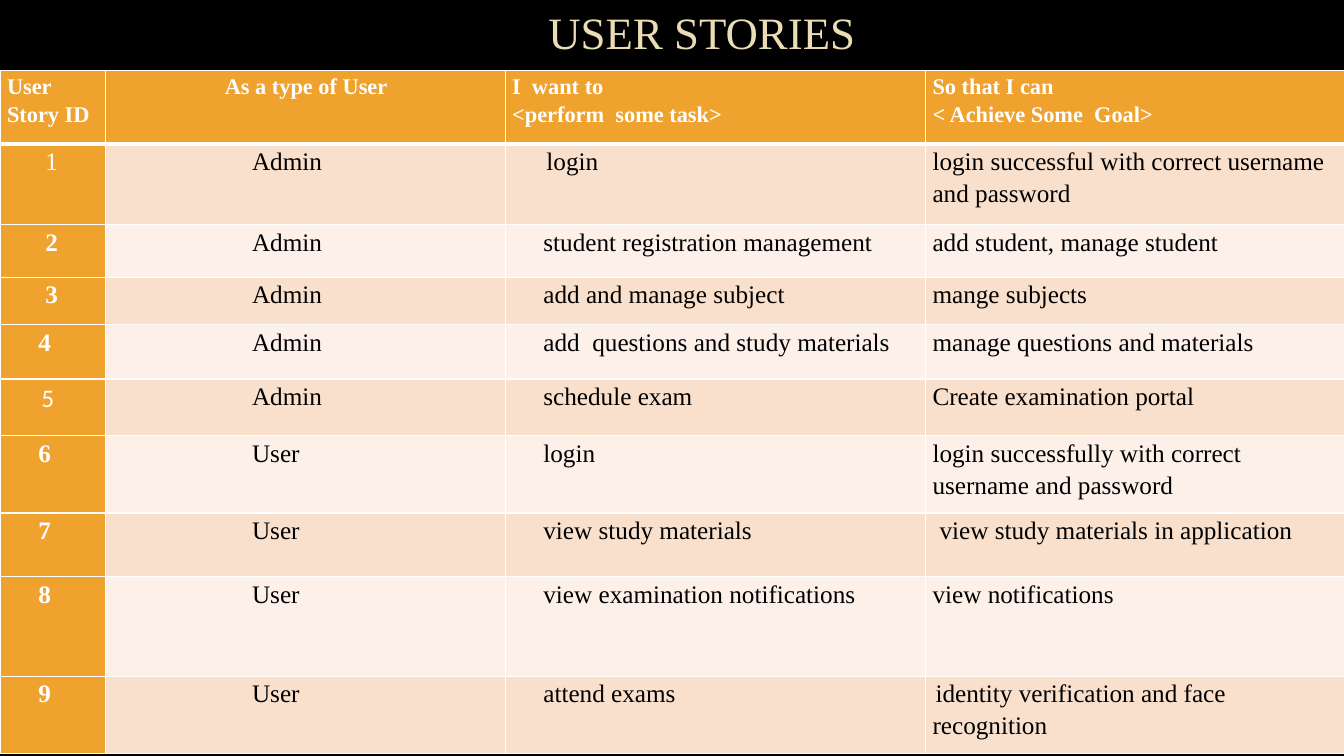
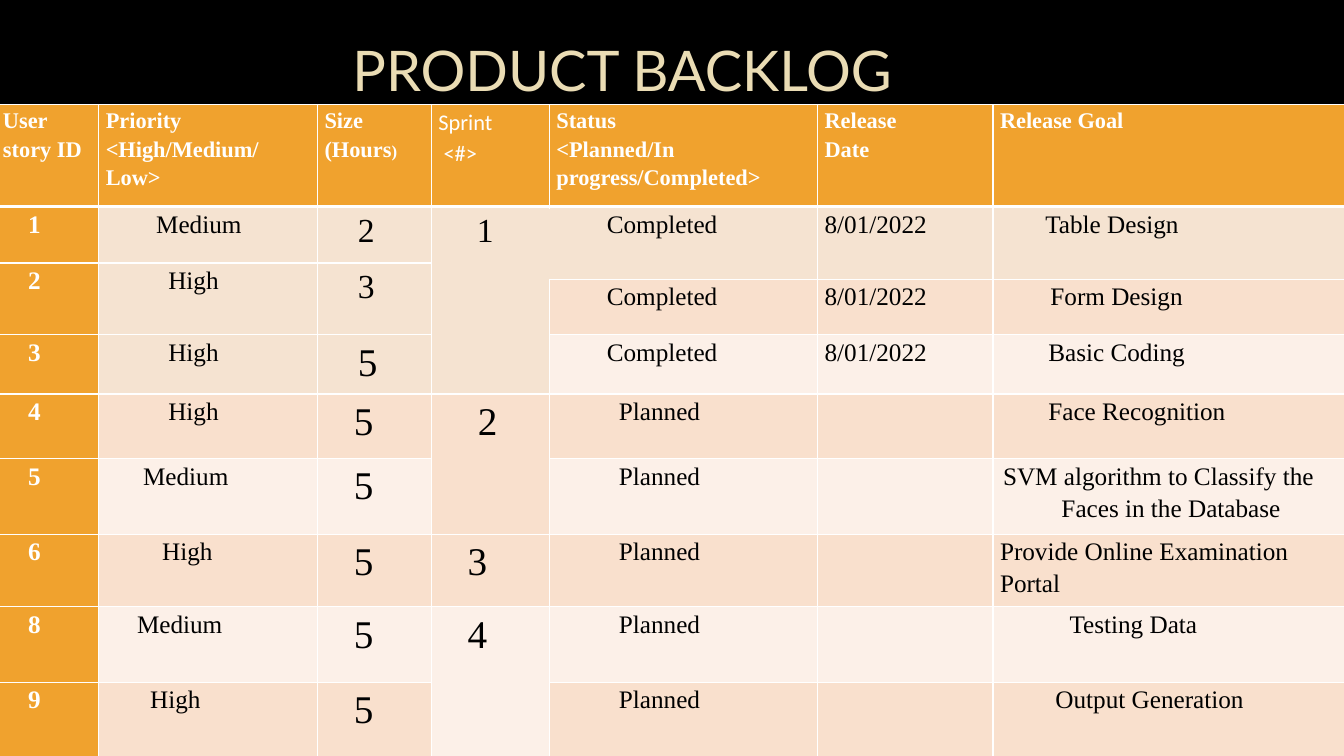
from dataclasses import dataclass
from typing import Optional

from lxml.etree import SubElement
from pptx import Presentation
from pptx.dml.color import RGBColor
from pptx.enum.text import PP_ALIGN
from pptx.oxml.ns import qn
from pptx.util import Inches, Pt

# Shared look
BLACK, WHITE, CREAM = "000000", "FFFFFF", "EADCB4"
ORANGE, SAND, PEACH, PALE = "F0A22E", "F5E3D1", "F9E0CD", "FCF0E8"
SERIF, SANS, TITLE_SANS = "Times New Roman", "Calibri", "Lato"
PLAIN_TABLE = "{2D5ABB26-0587-4C30-8999-92F81FD0307C}"
HEAD_SIZE, LINE_SPACING = 16, 1.15


@dataclass
class Column:
    width: float
    indent: float = 0
    size: int = 18


@dataclass
class Cell:
    text: str
    indent: Optional[float] = None
    wrap_indent: Optional[float] = None
    size: Optional[int] = None
    font: str = SERIF
    bold: Optional[bool] = None
    small_end: str = ""
    rows: int = 1
    sides: str = "LRTB"


def rgb(hex_color):
    return RGBColor.from_string(hex_color)


def style_run(r, size, color, font=SERIF, bold=False):
    r.font.size = Pt(size)
    r.font.color.rgb = rgb(color)
    r.font.name = font
    r.font.bold = bold


def add_slide(prs):
    s = prs.slides.add_slide(prs.slide_layouts[6])
    s.background.fill.solid()
    s.background.fill.fore_color.rgb = rgb(BLACK)
    return s


def add_title(s, text, left, top, width, height, size, font=SERIF, align=PP_ALIGN.LEFT):
    sp = s.shapes.add_textbox(Inches(left), Inches(top), Inches(width), Inches(height))
    tf = sp.text_frame
    tf.word_wrap = True
    tf.text = text
    p = tf.paragraphs[0]
    p.alignment = align
    style_run(p.runs[0], size, CREAM, font)
    return p


def set_borders(cell, sides, row):
    tc_pr = cell._tc.get_or_add_tcPr()
    for side in sides:
        heavy = (row, side) in {(0, "B"), (1, "T")}
        ln = SubElement(tc_pr, qn(f"a:ln{side}"), w=str(Pt(3 if heavy else 1)))
        fill = SubElement(ln, qn("a:solidFill"))
        SubElement(fill, qn("a:srgbClr"), val=WHITE)


def write_cell(cell, content, column, is_head, is_key):
    cell.margin_left = cell.margin_right = Inches(0.07)
    cell.margin_top = cell.margin_bottom = 0
    tf = cell.text_frame
    tf.text = content.text
    indent = content.indent
    if indent is None:
        indent = 0 if is_head else column.indent
    wrap = indent if content.wrap_indent is None else content.wrap_indent
    size = content.size or (HEAD_SIZE if is_head else column.size)
    bold = (is_head or is_key) if content.bold is None else content.bold
    color = WHITE if is_head or is_key else BLACK
    for p in tf.paragraphs:
        p.line_spacing = LINE_SPACING
        p_pr = p._p.get_or_add_pPr()
        p_pr.set("marL", str(Inches(wrap)))
        p_pr.set("indent", str(Inches(indent - wrap)))
        for r in p.runs:
            style_run(r, size, color, content.font, bold)
    if content.small_end:
        r = tf.paragraphs[-1].add_run()
        r.text = content.small_end
        style_run(r, 12, color, content.font, bold)


def add_grid(s, left, top, columns, heights, rows, sand=()):
    """Draw a table; None marks a cell covered by the merged one above it."""
    width = sum(column.width for column in columns)
    table = s.shapes.add_table(len(rows), len(columns), Inches(left), Inches(top),
                               Inches(width), Inches(sum(heights))).table
    table._tbl.tblPr[0].text = PLAIN_TABLE
    table.horz_banding = False
    for c, column in enumerate(columns):
        table.columns[c].width = Inches(column.width)
    for i, (height, row) in enumerate(zip(heights, rows)):
        table.rows[i].height = Inches(height)
        for c, content in enumerate(row):
            if content is None:
                continue
            if isinstance(content, str):
                content = Cell(content)
            cell = table.cell(i, c)
            last = i + content.rows - 1
            if last > i:
                cell.merge(table.cell(last, c))
            for k in range(i, last + 1):
                set_borders(table.cell(k, c), content.sides, k)
            is_head, is_key = i == 0, c == 0
            band = SAND if (i, c) in sand else PEACH if i % 2 else PALE
            cell.fill.solid()
            cell.fill.fore_color.rgb = rgb(ORANGE if is_head or is_key else band)
            write_cell(cell, content, columns[c], is_head, is_key)


def user_stories(prs):
    s = add_slide(prs)
    columns = [Column(1.05, 0.31), Column(3.96, 1.38), Column(4.17, 0.31), Column(4.16)]
    heights = [0.73, 0.8, 0.52, 0.47, 0.54, 0.56, 0.77, 0.63, 0.99, 0.77]
    rows = [
        ("User Story ID", Cell("As a type of User", 1.11),
         "I  want to\n<perform  some task>", "So that I can\n< Achieve Some  Goal>"),
        (Cell("1", 0.38, bold=False), "Admin", Cell("login", 0.34),
         "login successful with correct username and password"),
        (Cell("2", 0.38), "Admin", "student registration management",
         "add student, manage student"),
        (Cell("3", 0.38), "Admin", "add and manage subject", "mange subjects"),
        ("4", "Admin", "add  questions and study materials",
         "manage questions and materials"),
        (Cell("5", 0.34, font=SANS, bold=False), "Admin", "schedule exam",
         "Create examination portal"),
        ("6", "User", "login", "login successfully with correct username and password"),
        ("7", "User", "view study materials",
         Cell("view study materials in application", 0.07)),
        ("8", "User", "view examination notifications", "view notifications"),
        ("9", "User", "attend exams",
         Cell("identity verification and face recognition", 0.03, wrap_indent=0)),
    ]
    add_grid(s, 0, 0.7, columns, heights, rows)
    add_title(s, "USER STORIES", 5.34, 0, 4.28, 0.64, 32)


def product_backlog(prs):
    s = add_slide(prs)
    columns = [Column(1.02, 0.25), Column(2.17, 0.62), Column(1.13, 0.29, 28),
               Column(1.17, 0.29, 28), Column(2.66, 0.62), Column(1.74),
               Column(3.5, 0.48)]
    heights = [1.01, 0.56, 0.16, 0.55, 0.59, 0.64, 0.75, 0.72, 0.75, 0.75]
    done = "8/01/2022"
    rows = [
        ("User story ID", "Priority\n<High/Medium/Low>",
         Cell("Size\n(Hours", small_end=")"),
         Cell("Sprint\n <#>", font=SANS, bold=False),
         "Status\n<Planned/In progress/Completed>", "Release\nDate", "Release Goal"),
        # Sprint 1: the left and right halves break at different heights
        ("1", Cell("Medium", 0.5), Cell("2", 0.33, size=24, sides="LTB"),
         Cell("1", 0.38, size=24, rows=4, sides="TB"),
         Cell("Completed", 0.5, rows=2, sides="RTB"), Cell(done, rows=2),
         Cell("Table Design", 0.45, rows=2)),
        (Cell("2", rows=2), Cell("High", rows=2),
         Cell("3", 0.33, size=24, rows=2, sides="LTB"), None, None, None, None),
        (None, None, None, None, Cell("Completed", 0.5), done, Cell("Form Design", 0.5)),
        ("3", "High", Cell("5", 0.33, sides="LTB"), None, Cell("Completed", 0.5),
         done, "Basic Coding"),
        # Sprints 2 to 4
        ("4", "High", "5", Cell("2", 0.39, rows=2), "Planned", "", "Face Recognition"),
        ("5", Cell("Medium", 0.37), "5", None, "Planned", "",
         Cell("SVM algorithm to Classify the Faces in the Database", 0.03,
              wrap_indent=0.61)),
        ("6", Cell("High", 0.56), "5", "3", "Planned", "",
         Cell("Provide Online Examination Portal", 0)),
        ("8", Cell("Medium", 0.31), "5", Cell("4", rows=2), "Planned", "",
         Cell("Testing Data", 0.69)),
        ("9", Cell("High", 0.44), "5", None, "Planned", "",
         Cell("Output Generation", 0.55)),
    ]
    sand = {(i, c) for i in range(1, 5) for c in range(1, 7) if i == 1 or c <= 3}
    add_grid(s, -0.04, 1.04, columns, heights, rows, sand)
    p = add_title(s, "PRODUCT BACKLOG", 2.32, 0.2, 7.7, 0.84, 40, TITLE_SANS,
                  PP_ALIGN.CENTER)
    p.line_spacing = LINE_SPACING
    p.space_after = Pt(10)


def main():
    prs = Presentation()
    prs.slide_width, prs.slide_height = Inches(13.33), Inches(7.5)
    user_stories(prs)
    product_backlog(prs)
    prs.save("out.pptx")


if __name__ == "__main__":
    main()
